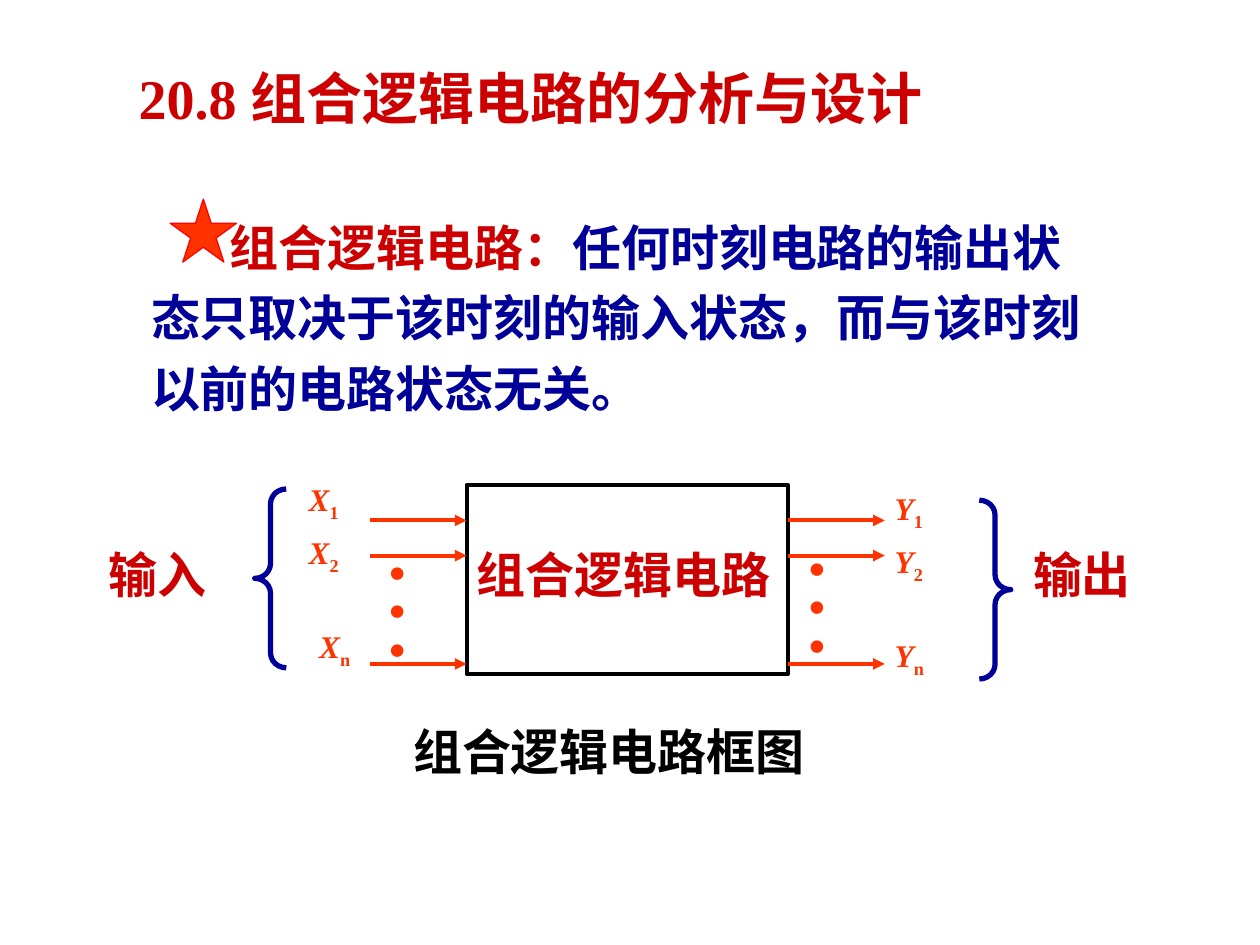
from collections import namedtuple
from dataclasses import dataclass

from lxml import etree
from pptx import Presentation
from pptx.dml.color import RGBColor
from pptx.enum import shapes, text
from pptx.oxml import ns
from pptx.util import Pt

Box = namedtuple("Box", "left top width height")


@dataclass(frozen=True)
class Theme:
    """Colours, fonts and type sizes of the deck."""
    red: str = "CC0000"
    navy: str = "000099"
    signal: str = "FF3300"
    star_edge: str = "FF0000"
    black: str = "000000"
    latin: str = "Times New Roman"
    asian: str = "Noto Sans CJK JP"
    title: int = 32
    body: int = 28
    label: int = 18
    dots: int = 44


THEME = Theme()


def rgb(value):
    """Turn a hex string into a colour."""
    return RGBColor.from_string(value)


def inside(area, left, top, width, height):
    """Return a box placed relative to the corner of an area."""
    return Box(area.left + left, area.top + top, width, height)


def points(box):
    """Give the four measures of a box as lengths."""
    return [Pt(value) for value in box]


def add_span(para, words, size, color, italic=False):
    """Append a bold run to a paragraph."""
    span = para.add_run()
    span.text = words
    font = span.font
    font.name, font.size, font.bold, font.italic = THEME.latin, Pt(size), True, italic
    font.color.rgb = rgb(color)
    return span


def add_text(page, box, words, size, color, wrap=False, italic=False):
    """Add a one-style text box and return it."""
    frame_shape = page.shapes.add_textbox(*points(box))
    frame_shape.text_frame.word_wrap = wrap
    add_span(frame_shape.text_frame.paragraphs[0], words, size, color, italic)
    return frame_shape


def add_outline(page, kind, box, color, weight):
    """Add an unfilled preset shape."""
    shape = page.shapes.add_shape(kind, *points(box))
    shape.shadow.inherit = False
    shape.fill.background()
    shape.line.color.rgb = rgb(color)
    shape.line.width = Pt(weight)
    return shape


def add_arrow(page, left, top, length):
    """Add a horizontal signal arrow pointing right."""
    arrow = page.shapes.add_connector(
        shapes.MSO_CONNECTOR.STRAIGHT, Pt(left), Pt(top), Pt(left + length), Pt(top))
    arrow.line.color.rgb = rgb(THEME.signal)
    arrow.line.width = Pt(2.25)
    etree.SubElement(arrow.line._get_or_add_ln(), ns.qn("a:tailEnd"), type="triangle")
    etree.SubElement(arrow._element.spPr, ns.qn("a:effectLst"))


def add_symbol(page, box, letter, index):
    """Add an italic letter with an upright subscript."""
    label = add_text(page, box, letter, THEME.label, THEME.signal, italic=True)
    span = add_span(label.text_frame.paragraphs[0], index, THEME.label, THEME.signal)
    span.font._element.set("baseline", "-25000")


def add_brace(page, box, rotation):
    """Add a curly brace around a column of signals."""
    brace = add_outline(page, shapes.MSO_SHAPE.LEFT_BRACE, box, THEME.navy, 3)
    brace.adjustments[0] = 0.47
    brace.rotation = rotation


def place_title(page, box):
    """Fill the title placeholder."""
    title = page.shapes.title
    title.left, title.top, title.width, title.height = points(box)
    frame = title.text_frame
    frame.vertical_anchor = text.MSO_ANCHOR.TOP
    frame.margin_top = frame.margin_bottom = Pt(0)
    para = frame.paragraphs[0]
    para.alignment = text.PP_ALIGN.LEFT
    add_span(para, "20.8 ", THEME.title, THEME.red)
    topic = add_span(para, "组合逻辑电路的分析与设计", THEME.title, THEME.red)
    topic.font.name = THEME.asian
    etree.SubElement(topic.font._element, ns.qn("a:ea"), typeface=THEME.asian)


def place_definition(page, box):
    """Add the starred definition paragraph."""
    definition = add_text(page, box, "组合逻辑电路：", THEME.body, THEME.red, wrap=True)
    para = definition.text_frame.paragraphs[0]
    para.line_spacing = 1.2
    para._p.get_or_add_pPr().set("indent", str(Pt(45)))
    add_span(para, "任何时刻电路的输出状态只取决于该时刻的输入状态，而与该时刻以前的电路状态无关。",
             THEME.body, THEME.navy)
    star = add_outline(page, shapes.MSO_SHAPE.STAR_5_POINT, inside(box, 18, 0, 38, 36),
                       THEME.star_edge, 0.75)
    star.fill.solid()
    star.fill.fore_color.rgb = rgb(THEME.signal)


def place_diagram(page, area):
    """Draw the circuit block with its inputs and outputs."""
    block = inside(area, 211.4, 6.2, 183.6, 108)
    add_outline(page, shapes.MSO_SHAPE.RECTANGLE, block, THEME.black, 2.25)
    add_text(page, inside(area, 210, 36.4, 183.6, 41), "组合逻辑电路", THEME.body, THEME.red)

    length = 55.4
    for drop in (20.2, 40.3, 102.2):
        for start in (block.left - length, block.left + block.width):
            add_arrow(page, start, block.top + drop, length)

    for index, drop, shift in (("1", 0, 0), ("2", 30, 0), ("n", 84, 6)):
        add_symbol(page, inside(area, 114 + shift, drop, 34, 28), "X", index)
        add_symbol(page, inside(area, 449, drop + 5, 34, 28), "Y", index)

    for left, top, width in ((151.6, 49.4, 69.8), (384.2, 54.4, 84.2)):
        dots = add_text(page, inside(area, left, top, width, 59.8), ". . .",
                        THEME.dots, THEME.signal)
        dots.rotation = 90

    for left, top, rotation in ((90.4, 8.4, 0), (504.4, 14.8, 180)):
        add_brace(page, inside(area, left, top, 18, 102.2), rotation)

    for left, words in ((0, "输入"), (area.width - 70.6, "输出")):
        add_text(page, inside(area, left, 36.4, 70.6, 41), words, THEME.body, THEME.red)


def place_caption(page, box):
    """Add the caption under the diagram."""
    add_text(page, box, "组合逻辑电路框图", THEME.body, THEME.black)


def main():
    """Build the deck and save it."""
    deck = Presentation()
    deck.slide_width, deck.slide_height = Pt(720), Pt(540)
    page = deck.slides.add_slide(deck.slide_layouts[0])
    subtitle = page.placeholders[1]._element
    subtitle.getparent().remove(subtitle)
    place_title(page, Box(72, 36, 576, 36))
    place_definition(page, Box(79.2, 113.8, 558, 128))
    place_diagram(page, Box(55.2, 271, 598.6, 117))
    place_caption(page, Box(229, 409, 239, 41))
    deck.save("out.pptx")


if __name__ == "__main__":
    main()
